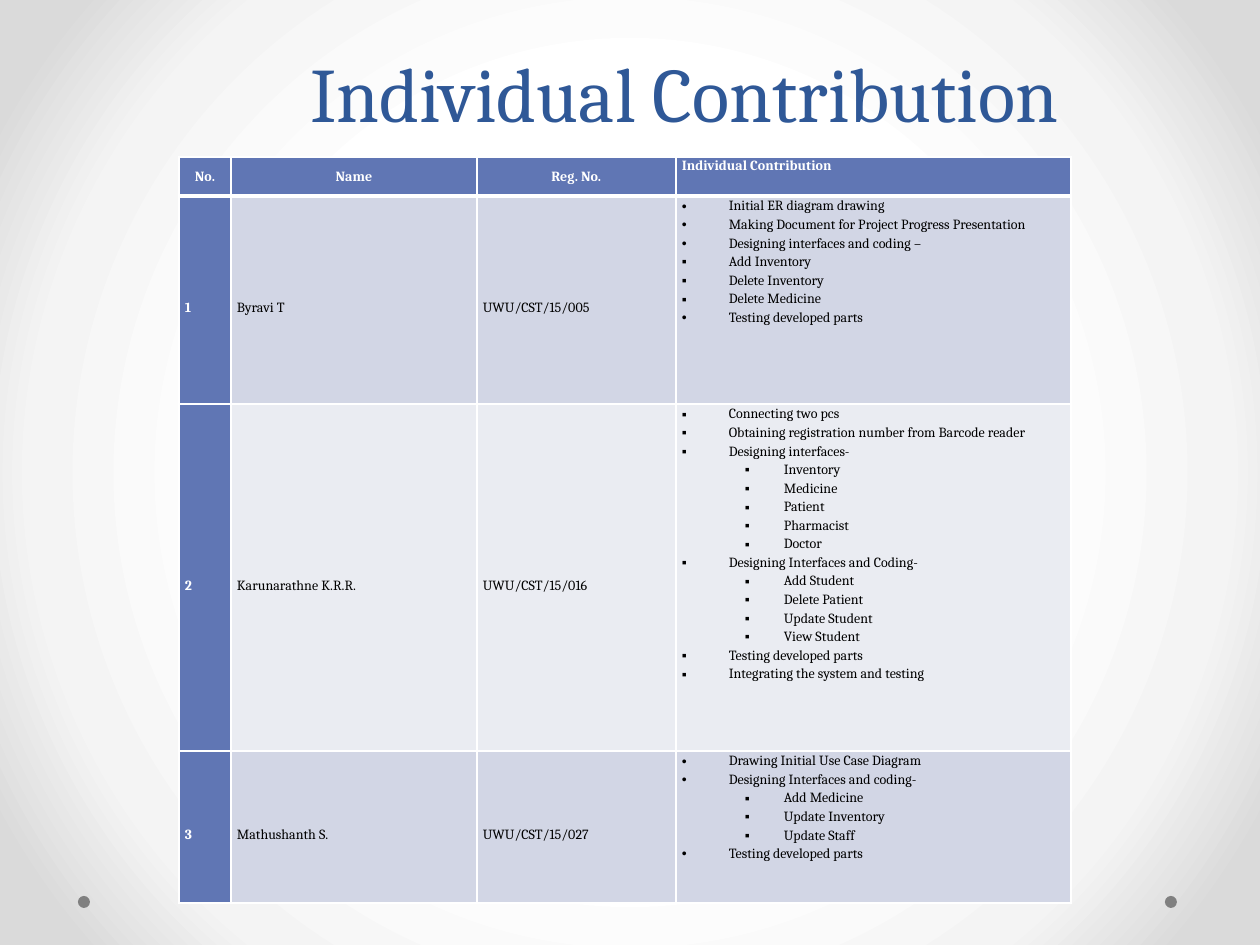
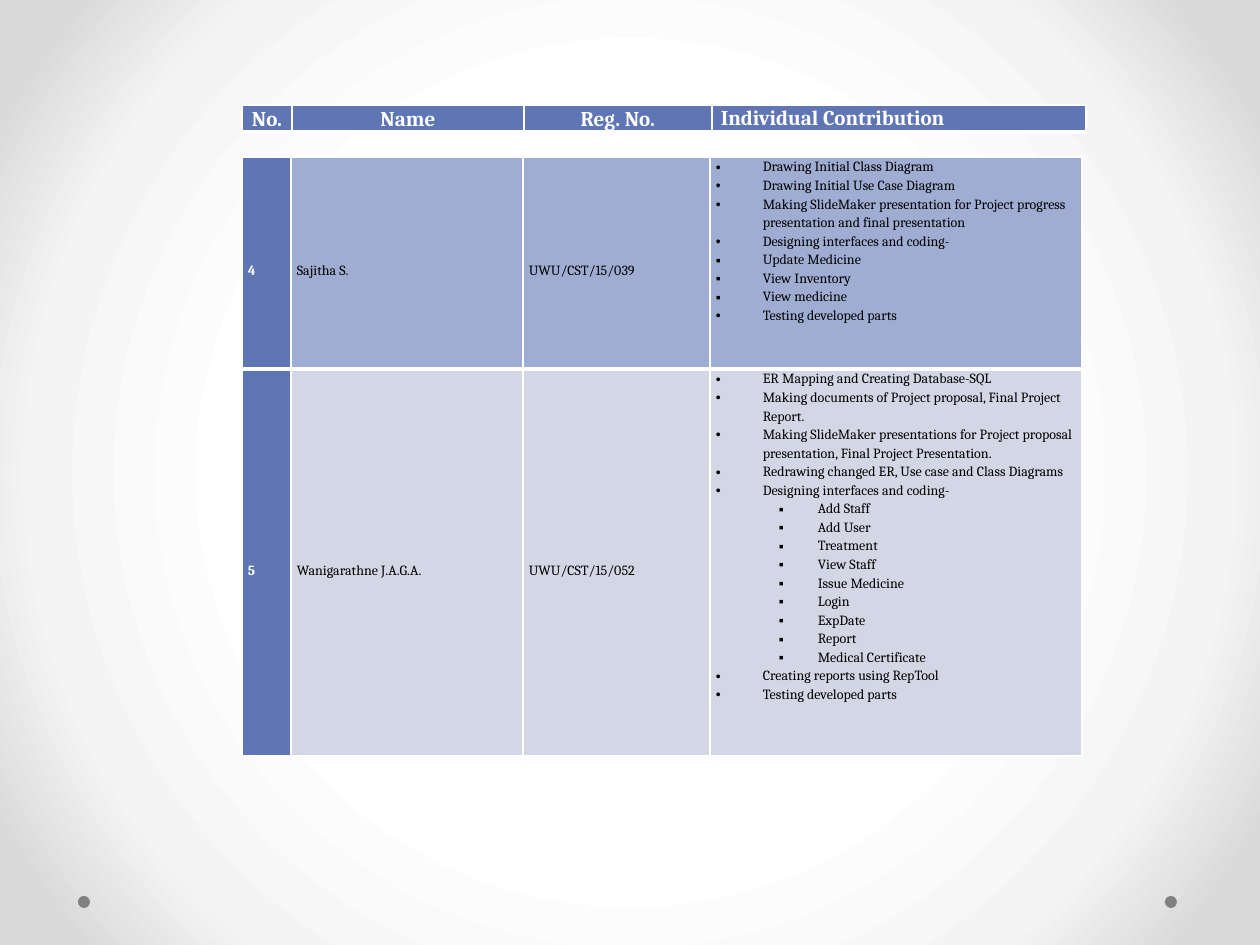
from pptx import Presentation
from pptx.dml.color import RGBColor
from pptx.enum.shapes import MSO_SHAPE
from pptx.enum.text import MSO_ANCHOR, PP_ALIGN
from pptx.oxml import parse_xml
from pptx.oxml.ns import nsdecls
from pptx.util import Pt

PX = 914400 // 126
OVAL = MSO_SHAPE.OVAL
TOP, MIDDLE, BOTTOM = MSO_ANCHOR.TOP, MSO_ANCHOR.MIDDLE, MSO_ANCHOR.BOTTOM
LEFT, CENTER = PP_ALIGN.LEFT, PP_ALIGN.CENTER

FONT = "Cambria"
WHITE = RGBColor(0xFF, 0xFF, 0xFF)
BLACK = RGBColor(0x00, 0x00, 0x00)
TITLE_BLUE = RGBColor(0x2F, 0x58, 0x97)
HEAD_BLUE = RGBColor(0x60, 0x76, 0xB4)
MID_BLUE = RGBColor(0xA0, 0xAD, 0xD2)
PALE_BLUE = RGBColor(0xD2, 0xD6, 0xE5)
FAINT_BLUE = RGBColor(0xEA, 0xEC, 0xF2)
DOT_GRAY = RGBColor(0x80, 0x80, 0x80)
BACKDROP = ((50, WHITE), (76, RGBColor(0xF4, 0xF4, 0xF4)), (92, RGBColor(0xDA, 0xDA, 0xDA)))

ROUND, SQUARE, SUB = ("•", 0), ("▪", 0), ("▪", 1)
INDENTS = ((47, -47), (102, -39))
HEADINGS = ("No.", "Name", "Reg. No.", "Individual Contribution")

MEMBERS = [
    ("1", "Byravi T", "UWU/CST/15/005", [
        (ROUND, "Initial ER diagram drawing|Making Document for Project Progress Presentation|"
                "Designing interfaces and coding –"),
        (SQUARE, "Add Inventory|Delete Inventory|Delete Medicine"),
        (ROUND, "Testing developed parts")]),
    ("2", "Karunarathne K.R.R.", "UWU/CST/15/016", [
        (SQUARE, "Connecting two pcs|Obtaining registration number from Barcode reader|"
                 "Designing interfaces-"),
        (SUB, "Inventory|Medicine|Patient|Pharmacist|Doctor"),
        (SQUARE, "Designing Interfaces and Coding-"),
        (SUB, "Add Student|Delete Patient|Update Student|View Student"),
        (SQUARE, "Testing developed parts|Integrating the system and testing")]),
    ("3", "Mathushanth S.", "UWU/CST/15/027", [
        (ROUND, "Drawing Initial Use Case Diagram|Designing Interfaces and coding-"),
        (SUB, "Add Medicine|Update Inventory|Update Staff"),
        (ROUND, "Testing developed parts")]),
    ("4", "Sajitha S.", "UWU/CST/15/039", [
        (ROUND, "Drawing Initial Class Diagram|Drawing Initial Use Case Diagram|"
                "Making SlideMaker presentation for Project progress presentation "
                "and final presentation|Designing interfaces and coding-"),
        (SQUARE, "Update Medicine|View Inventory|View medicine"),
        (ROUND, "Testing developed parts")]),
    ("5", "Wanigarathne J.A.G.A.", "UWU/CST/15/052", [
        (ROUND, "ER Mapping and Creating Database-SQL|"
                "Making documents of Project proposal, Final Project Report.|"
                "Making SlideMaker presentations for Project proposal presentation, "
                "Final Project Presentation.|"
                "Redrawing changed ER, Use case and Class Diagrams|"
                "Designing interfaces and coding-"),
        (SUB, "Add Staff|Add User|Treatment|View Staff|Issue Medicine|Login|ExpDate|Report|"
              "Medical Certificate"),
        (ROUND, "Creating reports using RepTool|Testing developed parts")]),
]


def write(tf, text, size=8, color=BLACK, bold=False, align=LEFT, spacing=1.0, after=0, bullet=None):
    """Add one formatted paragraph, filling the empty first one before adding more."""
    p = tf.paragraphs[-1]
    if p.runs:
        p = tf.add_paragraph()
    p.alignment, p.line_spacing, p.space_after = align, spacing, Pt(after)
    r = p.add_run()
    r.text = text
    r.font.name, r.font.size, r.font.bold = FONT, Pt(size), bold
    r.font.color.rgb = color
    if bullet:
        mark, p.level = bullet
        margin, indent = INDENTS[p.level]
        pPr = p._p.get_or_add_pPr()
        pPr.set("marL", str(margin * PX))
        pPr.set("indent", str(indent * PX))
        pPr.append(parse_xml(f'<a:buFont {nsdecls("a")} typeface="Arial"/>'))
        pPr.append(parse_xml(f'<a:buChar {nsdecls("a")} char="{mark}"/>'))


class Deck:
    """Holds the presentation, its shared style and the current slide."""

    def __init__(self):
        """Start a 4:3 presentation."""
        self.prs = Presentation()
        self.prs.slide_width, self.prs.slide_height = 1260 * PX, 945 * PX

    def slide(self):
        """Add a slide with the radial backdrop and the two corner dots."""
        self.s = self.prs.slides.add_slide(self.prs.slide_layouts[6])
        stops = "".join(f'<a:gs pos="{pos * 1000}"><a:srgbClr val="{color}"/></a:gs>'
                        for pos, color in BACKDROP)
        self.s.element.cSld.insert(0, parse_xml(
            f'<p:bg {nsdecls("p", "a")}><p:bgPr>'
            f'<a:gradFill rotWithShape="1"><a:gsLst>{stops}</a:gsLst>'
            '<a:path path="circle"><a:fillToRect l="50000" t="50000" r="50000" b="50000"/>'
            '</a:path></a:gradFill><a:effectLst/></p:bgPr></p:bg>'))
        for x in (1165, 78):
            self.dot(x, 896, 12)

    def dot(self, x, y, size):
        """Draw a plain gray dot."""
        sp = self.s.shapes.add_shape(OVAL, x * PX, y * PX, size * PX, size * PX)
        sp.shadow.inherit = False
        sp.fill.solid()
        sp.fill.fore_color.rgb = DOT_GRAY
        sp.line.fill.background()

    def title(self, text):
        """Write the slide title."""
        sp = self.s.shapes.add_textbox(168 * PX, 21 * PX, 1033 * PX, 123 * PX)
        tf = sp.text_frame
        tf.word_wrap, tf.vertical_anchor = True, BOTTOM
        write(tf, text, size=44, color=TITLE_BLUE, align=CENTER, spacing=Pt(58))

    def table(self, x, y, cols, rows):
        """Add an unstyled table with the given column widths and row heights."""
        frame = self.s.shapes.add_table(len(rows), len(cols), x * PX, y * PX,
                                        sum(cols) * PX, sum(rows) * PX)
        table = frame.table
        table.first_row = table.horz_banding = False
        for col, width in zip(table.columns, cols):
            col.width = width * PX
        for row, height in zip(table.rows, rows):
            row.height = height * PX
        return table

    def cell(self, cell, fill, anchor=MIDDLE, inset=6, bottom=1):
        """Fill and border a cell and return its text frame."""
        cell.fill.solid()
        cell.fill.fore_color.rgb = fill
        cell.vertical_anchor = anchor
        cell.margin_left = cell.margin_right = inset * PX
        cell.margin_top = cell.margin_bottom = 0
        tcPr = cell._tc.get_or_add_tcPr()
        for i, side in enumerate("LRTB"):
            width = Pt(bottom if side == "B" else 1)
            tcPr.insert(i, parse_xml(
                f'<a:ln{side} {nsdecls("a")} w="{int(width)}"><a:solidFill>'
                f'<a:srgbClr val="{WHITE}"/></a:solidFill></a:ln{side}>'))
        return cell.text_frame

    def header(self, row, size, inset):
        """Write the column headings."""
        for i, (cell, text) in enumerate(zip(row.cells, HEADINGS)):
            last = i == len(HEADINGS) - 1
            tf = self.cell(cell, HEAD_BLUE, TOP if last else MIDDLE, inset, bottom=3)
            write(tf, text, size=size, color=WHITE, bold=True, spacing=1.07, after=8,
                  align=LEFT if last else CENTER)

    def member(self, row, member, fill, bottom=1):
        """Write one member's number, name, registration and contributions."""
        number, name, reg, groups = member
        no_cell, name_cell, reg_cell, work_cell = row.cells
        write(self.cell(no_cell, HEAD_BLUE, bottom=bottom), number, color=WHITE, bold=True,
              spacing=2.0, after=8)
        for cell, text in ((name_cell, name), (reg_cell, reg)):
            write(self.cell(cell, fill, bottom=bottom), text, spacing=2.0)
        tf = self.cell(work_cell, fill, TOP, bottom=bottom)
        for bullet, lines in groups:
            for line in lines.split("|"):
                write(tf, line, spacing=1.15, bullet=bullet)
        tf.paragraphs[-1].space_after = Pt(10)


deck = Deck()

deck.slide()
deck.title("Individual Contribution")
table = deck.table(179, 157, (52, 246, 199, 395), (39, 208, 347, 152))
head, *body = table.rows
deck.header(head, size=8, inset=6)
for row, member, fill in zip(body, MEMBERS[:3], (PALE_BLUE, FAINT_BLUE, PALE_BLUE)):
    deck.member(row, member, fill)

deck.slide()
table = deck.table(242, 157, (49, 232, 187, 372), (212, 387))
for row, member, fill, bottom in zip(table.rows, MEMBERS[3:], (MID_BLUE, PALE_BLUE), (3, 1)):
    deck.member(row, member, fill, bottom)
table = deck.table(242, 105, (50, 232, 188, 374), (25,))
deck.header(table.rows[0], size=12, inset=9)

deck.prs.save("out.pptx")
